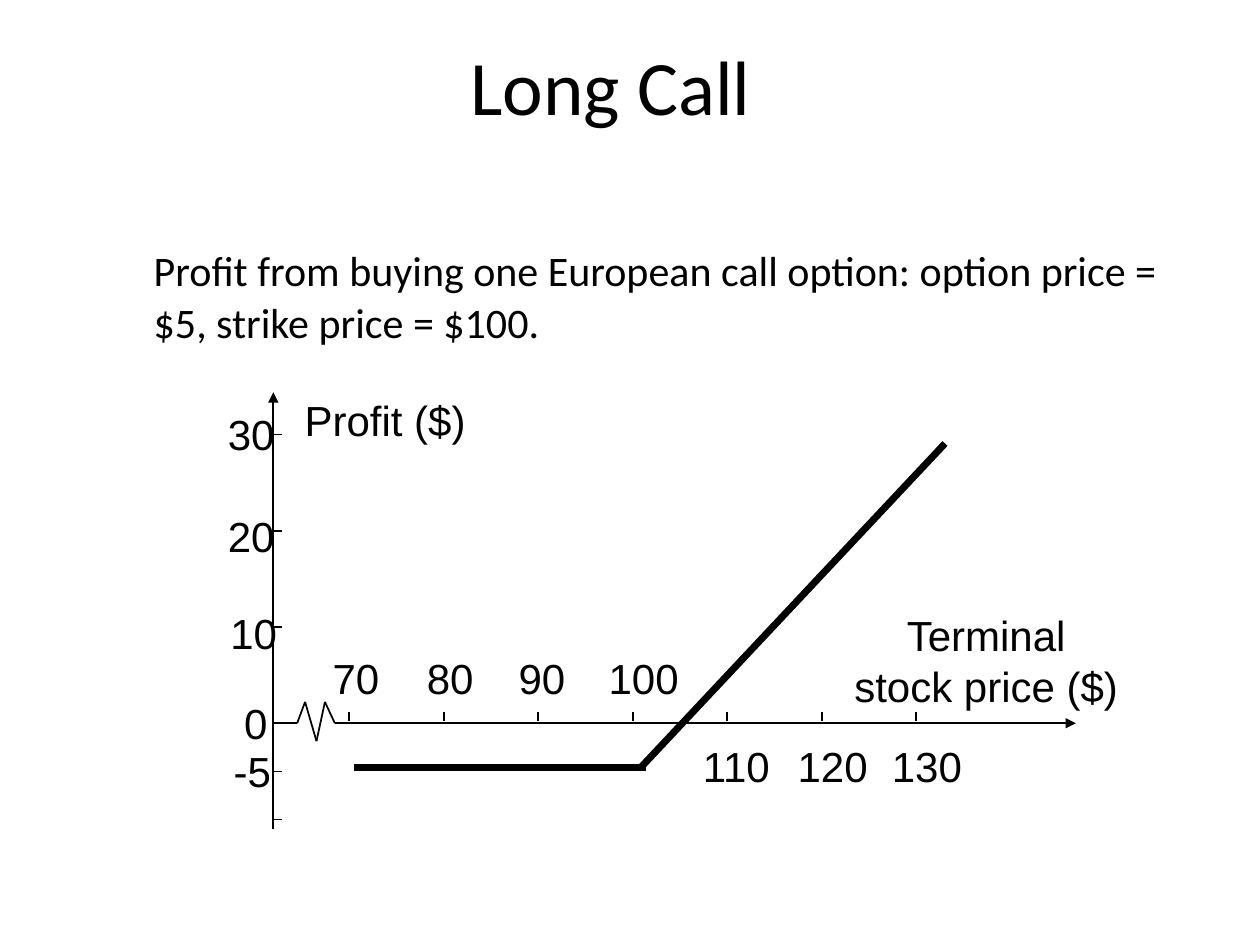
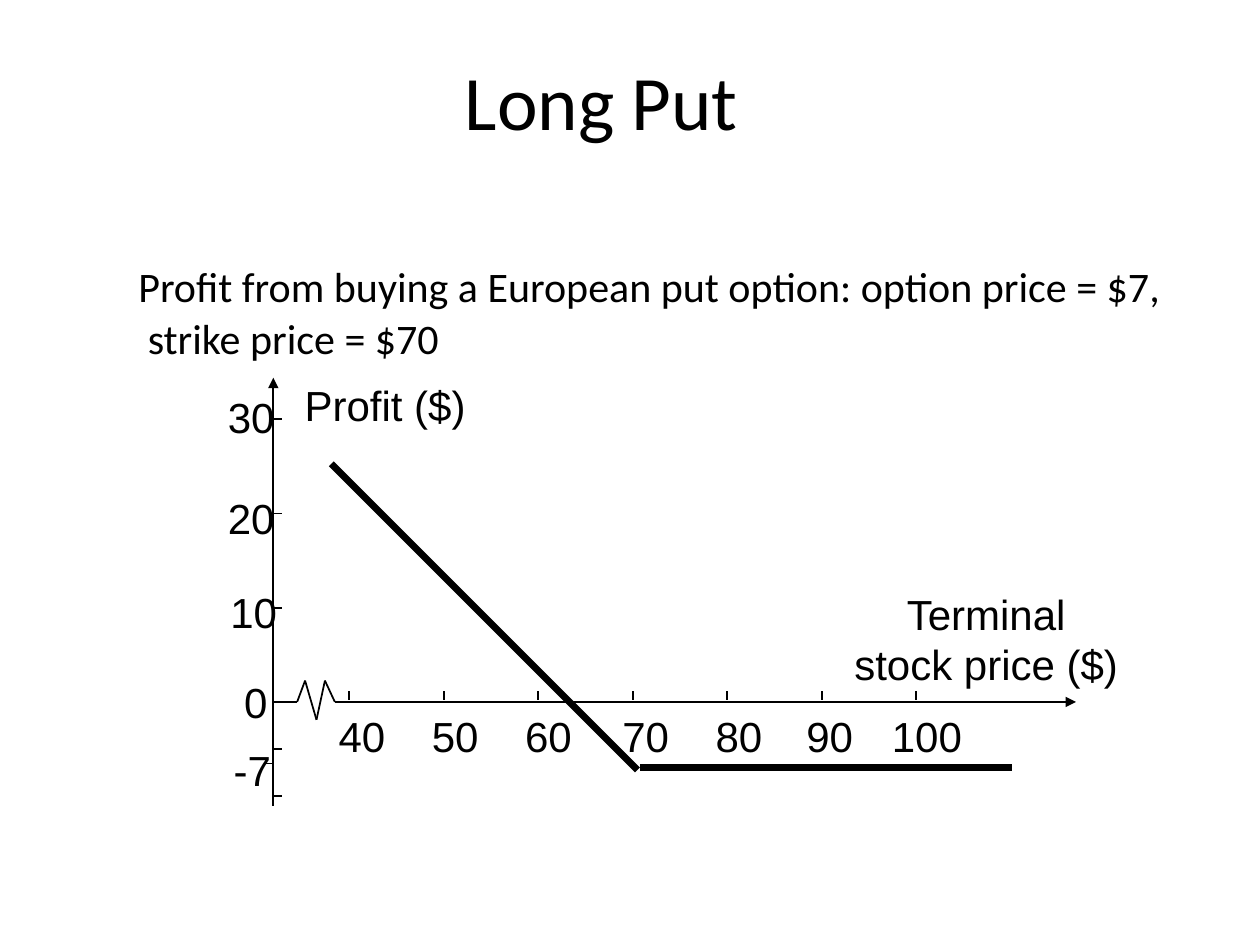
from itertools import pairwise

from lxml import etree
from pptx import Presentation
from pptx.dml.color import RGBColor
from pptx.enum.shapes import MSO_CONNECTOR as Connector
from pptx.enum.text import MSO_ANCHOR as Anchor, PP_ALIGN as Align
from pptx.oxml.ns import qn
from pptx.util import Cm, Pt

BLACK = RGBColor(0, 0, 0)
HEADING_FONT = "Calibri"
CHART_FONT = "Arial"
TITLE_ONLY = 5

# Diagram geometry in centimetres
AXIS_X = 5.51
FIRST_TICK_X = 7.04
TICK_GAP_X = 1.905
TICK_LENGTH = 0.18
LABEL_HEIGHT = 1.27
PROFIT_LABEL_X = [5.07, 5.07, 5.12, 5.16, 5.09]
# Axis break: x position and offset from the zero line
AXIS_BREAK = [(5.49, 0), (5.99, 0), (6.15, -0.43), (6.38, 0.36),
              (6.55, -0.43), (6.75, 0)]

LONG_CALL = {
    "title": "Long Call",
    "title_height": 3.61,
    "title_shift": 0.36,
    "intro": "Profit from buying one European call option: "
             "option price = $5, strike price = $100.",
    "intro_box": (1.9, 4.45, 22.71, 11.43),
    "intro_indent": 0,
    "zero_y": 14.58,
    "step_y": 1.94,
    "profits": {"30": 8.74, "20": 10.8, "10": 12.75, "0": 14.58, "-5": 15.54},
    "prices": {"70": (7.18, -0.91), "80": (9.08, -0.91),
               "90": (10.93, -0.91), "100": (12.98, -0.91),
               "110": (14.88, 0.86), "120": (16.79, 0.86),
               "130": (18.69, 0.86)},
    "payoff": [((7.14, 15.47), (13.03, 15.47)),
               ((12.9, 15.49), (19.05, 8.94))],
    "loss_tick_y": None,
}
LONG_PUT = {
    "title": "Long Put",
    "title_height": 4.24,
    "title_shift": 0.72,
    "intro": "Profit from buying a European put option: "
             "option price = $7, strike price = $70",
    "intro_box": (1.78, 4.78, 22.61, 11.43),
    "intro_indent": -0.19,
    "zero_y": 14.15,
    "step_y": 1.9,
    "profits": {"30": 8.41, "20": 10.44, "10": 12.34, "0": 14.15, "-7": 15.52},
    "prices": {"40": (7.3, 0.69), "50": (9.18, 0.69), "60": (11.06, 0.69),
               "70": (13.02, 0.69), "80": (14.9, 0.69),
               "90": (16.73, 0.69), "100": (18.69, 0.69)},
    "payoff": [((12.9, 15.47), (20.4, 15.47)),
               ((12.85, 15.52), (6.68, 9.35))],
    "loss_tick_y": 15.39,
}


def write_text(frame, text, size=24, font=CHART_FONT, align=Align.LEFT,
               anchor=Anchor.TOP, wrap=False, line_spacing=None,
               hanging=None):
    """Fill a text frame; each line of the text becomes a paragraph."""
    frame.word_wrap = wrap
    frame.vertical_anchor = anchor
    frame.text = text
    for paragraph in frame.paragraphs:
        paragraph.alignment = align
        paragraph.line_spacing = line_spacing
        if hanging:
            margin, indent = hanging
            properties = paragraph._p.get_or_add_pPr()
            properties.set("marL", str(Cm(margin)))
            properties.set("indent", str(Cm(indent)))
        paragraph.font.size = Pt(size)
        paragraph.font.name = font
        paragraph.font.color.rgb = BLACK


def add_text(slide, text, left, top, width, height, **text_format):
    shape = slide.shapes.add_textbox(Cm(left), Cm(top), Cm(width), Cm(height))
    write_text(shape.text_frame, text, **text_format)
    return shape


def add_number(slide, text, centre_x, centre_y):
    """Axis number in a box as wide as its characters."""
    width = 0.51 + sum(0.28 if char == "-" else 0.47 for char in text)
    add_text(slide, text, centre_x - width / 2, centre_y - LABEL_HEIGHT / 2,
             width, LABEL_HEIGHT)


def add_line(slide, start, end, weight=1, arrow=False):
    points = [Cm(value) for value in (*start, *end)]
    connector = slide.shapes.add_connector(Connector.STRAIGHT, *points)
    connector.line.color.rgb = BLACK
    connector.line.width = Pt(weight)
    properties = connector.element.spPr
    if arrow:
        outline = properties.find(qn("a:ln"))
        etree.SubElement(outline, qn("a:tailEnd"), type="triangle")
    etree.SubElement(properties, qn("a:effectLst"))


def add_title(slide, content):
    title = slide.shapes.title
    title.left, title.top = Cm(1.27), Cm(0.84)
    title.width, title.height = Cm(22.43), Cm(content["title_height"])
    frame = title.text_frame
    write_text(frame, content["title"], size=44, font=HEADING_FONT,
               align=Align.CENTER, anchor=Anchor.MIDDLE, wrap=True)
    # Lift the title by half a line and move it a little to the left
    frame.margin_bottom = Cm(2.02)
    frame.margin_right = Cm(0.25 + content["title_shift"])


def add_intro(slide, content):
    shape = add_text(slide, content["intro"], *content["intro_box"],
                     font=HEADING_FONT, wrap=True, line_spacing=1.03,
                     hanging=(0.95, content["intro_indent"]))
    shape.text_frame.margin_top = Cm(0.45)


def add_axes(slide, zero_y, step_y):
    add_line(slide, (AXIS_X, zero_y + 1.1 * step_y),
             (AXIS_X, zero_y - 3.44 * step_y), arrow=True)
    add_line(slide, (6.76, zero_y), (21.69, zero_y), arrow=True)
    for (x1, offset1), (x2, offset2) in pairwise(AXIS_BREAK):
        add_line(slide, (x1, zero_y + offset1), (x2, zero_y + offset2))

    # Ticks, in steps of ten dollars
    for steps in (3, 2, 1, -0.5, -1):
        y = zero_y - steps * step_y
        add_line(slide, (AXIS_X, y), (AXIS_X + TICK_LENGTH, y))
    for index in range(7):
        x = FIRST_TICK_X + index * TICK_GAP_X
        add_line(slide, (x, zero_y - 0.22), (x, zero_y - 0.04))

    # Axis names
    add_text(slide, "Profit ($)", 5.89, zero_y - 3.15 * step_y - 0.64,
             3.76, LABEL_HEIGHT)
    add_text(slide, "Terminal\nstock price ($)", 16.97, zero_y - 2.41,
             5.82, 2.29, align=Align.CENTER)


def add_profit_slide(presentation, content):
    layout = presentation.slide_layouts[TITLE_ONLY]
    slide = presentation.slides.add_slide(layout)
    zero_y = content["zero_y"]
    add_title(slide, content)
    add_intro(slide, content)
    add_axes(slide, zero_y, content["step_y"])

    # Axis numbers
    for x, (text, y) in zip(PROFIT_LABEL_X, content["profits"].items()):
        add_number(slide, text, x, y)
    for text, (x, offset) in content["prices"].items():
        add_number(slide, text, x, zero_y + offset)
    if content["loss_tick_y"]:
        y = content["loss_tick_y"]
        add_line(slide, (AXIS_X, y), (AXIS_X - TICK_LENGTH, y))

    # Payoff
    for start, end in content["payoff"]:
        add_line(slide, start, end, weight=4)


def main():
    presentation = Presentation()
    presentation.slide_width = Cm(25.4)
    presentation.slide_height = Cm(19.05)
    for content in (LONG_CALL, LONG_PUT):
        add_profit_slide(presentation, content)
    presentation.save("out.pptx")


if __name__ == "__main__":
    main()
